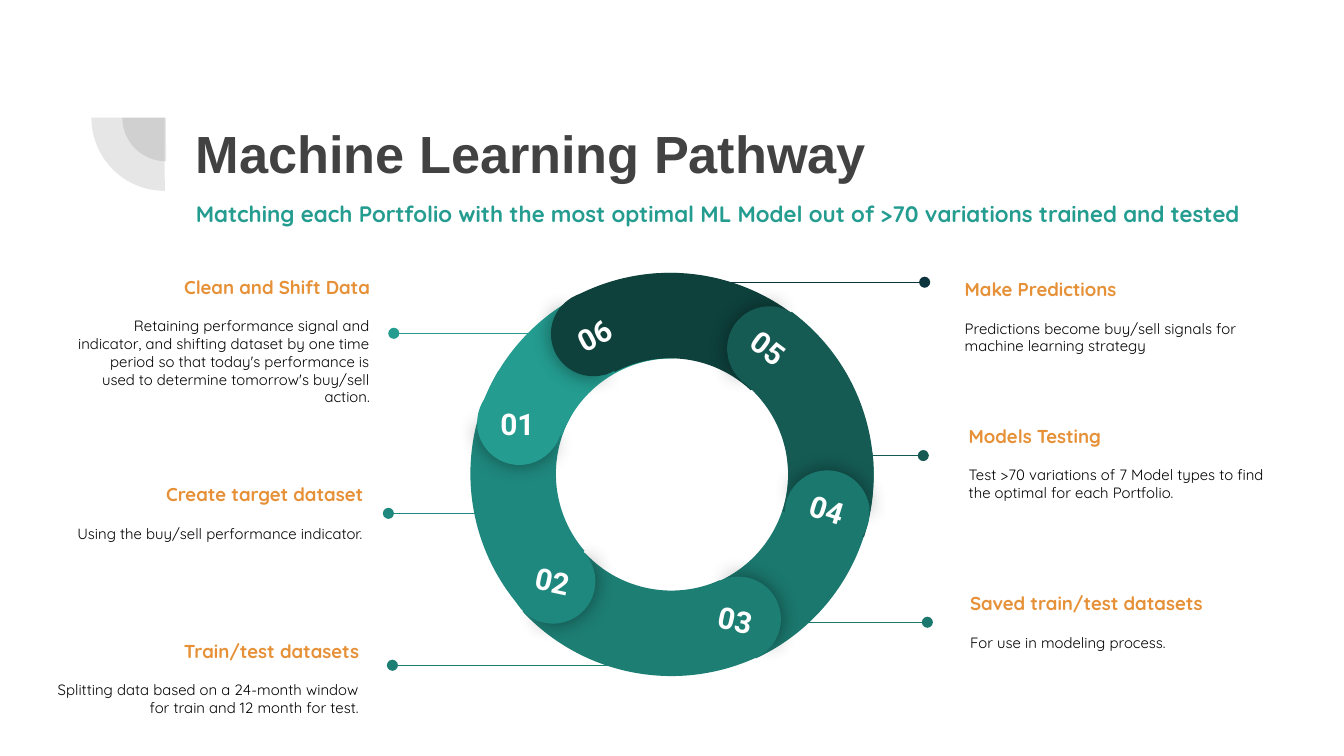
from lxml import etree
from pptx import Presentation
from pptx.dml.color import RGBColor
from pptx.enum.shapes import MSO_CONNECTOR as Link, MSO_SHAPE as Kind
from pptx.enum.text import MSO_ANCHOR as Anchor, PP_ALIGN as Align
from pptx.oxml.ns import qn
from pptx.util import Inches, Pt

GREY, TEAL, ORANGE = "424242", "249C90", "E69138"

# Number, and the left, top and turn of the arc, inside the ring's box
ARCS = [
    ("02", 0.03, 0.01, 289.2),
    ("04", 0, 0.01, 144),
    ("03", 0.01, 0, 215.8),
    ("01", 0.02, 0.03, 350),
    ("06", 0, 0.03, 32.1),
    ("05", 0, 0.02, 96.6),
]
# Left, top and turn of the round end, then left, top and turn of its number
ENDS = [
    ("02", 0.33, 2.01, 223.2, 0.38, 2.09, 12.2),
    ("03", 1.71, 2.29, 150.9, 1.74, 2.38, 11.8),
    ("01", 0.08, 0.83, 284.1, 0.10, 0.92, 0),
    ("05", 1.94, 0.28, 33.7, 2.02, 0.37, 36.6),
    ("06", 0.63, 0.17, 329.2, 0.63, 0.27, 332.1),
    ("04", 2.37, 1.5, 105.3, 2.43, 1.56, 17.5),
]
HUES = {"01": TEAL, "02": "1F887E", "03": "1D7E74",
        "04": "1B786E", "05": "155B54", "06": "0E413C"}

# Text box, side, gap to the dot, leader level, leader length, colour, head, body
NOTES = [
    ((0.46, 2.03, 2.39), "left", 0.08, 0.45, 1.30, TEAL, "Clean and Shift Data",
     "Retaining performance signal and indicator, and shifting dataset by one "
     "time period so that today's performance is used to determine tomorrow's "
     "buy/sell action."),
    ((0.34, 3.31, 2.46), "left", 0.09, 0.51, 1.02, HUES["02"],
     "Create target dataset", "Using the buy/sell performance indicator."),
    ((0.27, 4.54, 2.50), "left", 0.15, 0.41, 1.86, HUES["03"], "Train/test datasets",
     "Splitting data based on a 24-month window for train and 12 month for test."),
    ((7.11, 2.94, 2.43), "right", 0.24, 0.45, 0.92, HUES["05"], "Models Testing",
     "Test >70 variations of 7 Model types to find the optimal for each Portfolio."),
    ((7.08, 1.85, 2.54), "right", 0.20, 0.25, 1.72, "0C343D", "Make Predictions",
     "Predictions become buy/sell signals for machine learning strategy"),
    ((7.12, 4.12, 2.54), "right", 0.22, 0.51, 0.97, HUES["04"],
     "Saved train/test datasets", "For use in modeling process."),
]


def paint(color, hue):
    color.rgb = RGBColor.from_string(hue)


def fade(fill, share):
    tint = fill._xPr.find(qn("a:solidFill"))[0]
    etree.SubElement(tint, qn("a:alpha")).set("val", str(share * 1000))


def add_part(slide, kind, box, turn, hue, adjust):
    part = slide.shapes.add_shape(kind, *map(Inches, box))
    part.rotation = turn
    part.shadow.inherit = False
    part.fill.solid()
    paint(part.fill.fore_color, hue)
    part.line.fill.background()
    for i, value in enumerate(adjust):
        part.adjustments[i] = value
    return part


def add_glow(part):
    """Give the part a soft black shadow on all sides."""
    effects = part._element.spPr.find(qn("a:effectLst"))
    shade = etree.SubElement(effects, qn("a:outerShdw"), blurRad=str(Pt(11.2)),
                             dist="0", dir="0", algn="bl", rotWithShape="0")
    tint = etree.SubElement(shade, qn("a:srgbClr"), val="000000")
    etree.SubElement(tint, qn("a:alpha"), val="43000")


def add_box(slide, box, anchor=Anchor.TOP):
    item = slide.shapes.add_textbox(*map(Inches, box))
    frame = item.text_frame
    frame.word_wrap = True
    frame.vertical_anchor = anchor
    frame.margin_left = frame.margin_right = Inches(0.1)
    frame.margin_top = frame.margin_bottom = Inches(0.1)
    return item


def add_run(para, text, size, hue, face="Quicksand", bold=True):
    run = para.add_run()
    run.text = text
    run.font.size = Pt(size)
    run.font.name = face
    run.font.bold = bold
    paint(run.font.color, hue)


def add_header(slide, x, y):
    for dx, dy, size in ((0.23, 0.22, 0.65), (0, 0, 1.09)):
        part = add_part(slide, Kind.PIE, (x + dx, y + dy, size, size), 270,
                        GREY, (107.93, 162))
        fade(part.fill, 13)
    title = add_box(slide, (x + 0.68, y + 0.47, 7.69, 0.71))
    add_run(title.text_frame.paragraphs[0], "Machine Learning Pathway", 28, GREY, "Arial")
    lead = add_box(slide, (x + 0.68, y + 1.06, 8.24, 0.4))
    add_run(lead.text_frame.paragraphs[0],
            "Matching each Portfolio with the most optimal ML Model "
            "out of >70 variations trained and tested", 12, TEAL)


def add_leader(slide, start, end, y, hue):
    """Draw a level line with a dot at its end."""
    line = slide.shapes.add_connector(
        Link.STRAIGHT, Inches(start), Inches(y), Inches(end), Inches(y))
    paint(line.line.color, hue)
    line.line.width = Pt(0.75)
    etree.SubElement(line.line._get_or_add_ln(), qn("a:tailEnd"), type="oval")
    etree.SubElement(line._element.spPr, qn("a:effectLst"))


def add_note(slide, box, side, gap, level, reach, hue, head, body):
    x, y, wide = box
    if side == "left":
        dot, start, align = x + wide + gap, x + wide + gap + reach, Align.RIGHT
    else:
        dot, start, align = x - gap, x - gap - reach, Align.LEFT
    add_leader(slide, start, dot, y + level, hue)
    frame = add_box(slide, (x, y, wide, 1.01), Anchor.MIDDLE).text_frame
    top, para = frame.paragraphs[0], frame.add_paragraph()
    top.alignment = para.alignment = align
    para.space_before = Pt(10)
    add_run(top, head, 10, ORANGE)
    add_run(para, body, 8, "000000", bold=False)


def add_ring(slide, x, y):
    for name, dx, dy, turn in ARCS:
        add_part(slide, Kind.BLOCK_ARC, (x + dx, y + dy, 3.03, 3.03), turn,
                 HUES[name], (126.03, 168.68, 0.21))
    for name, dx, dy, turn, tx, ty, tilt in ENDS:
        box = (x + dx, y + dy, 0.63, 0.63)
        add_glow(add_part(slide, Kind.PIE, box, turn, HUES[name], (61.9, 149.96)))
        add_part(slide, Kind.PIE, box, (turn + 179.5) % 360, HUES[name], (40.28, 171.84))
        label = add_box(slide, (x + tx, y + ty, 0.56, 0.29))
        label.rotation = tilt
        para = label.text_frame.paragraphs[0]
        para.alignment = Align.CENTER
        add_run(para, name, 16, "FFFFFF", "Roboto")


def main():
    deck = Presentation()
    deck.slide_width = Inches(10)
    deck.slide_height = deck.slide_width * 9 // 16
    slide = deck.slides.add_slide(deck.slide_layouts[6])
    add_header(slide, 0.68, 0.33)
    for note in NOTES:
        add_note(slide, *note)
    add_ring(slide, 3.47, 2)
    deck.save("out.pptx")


if __name__ == "__main__":
    main()
